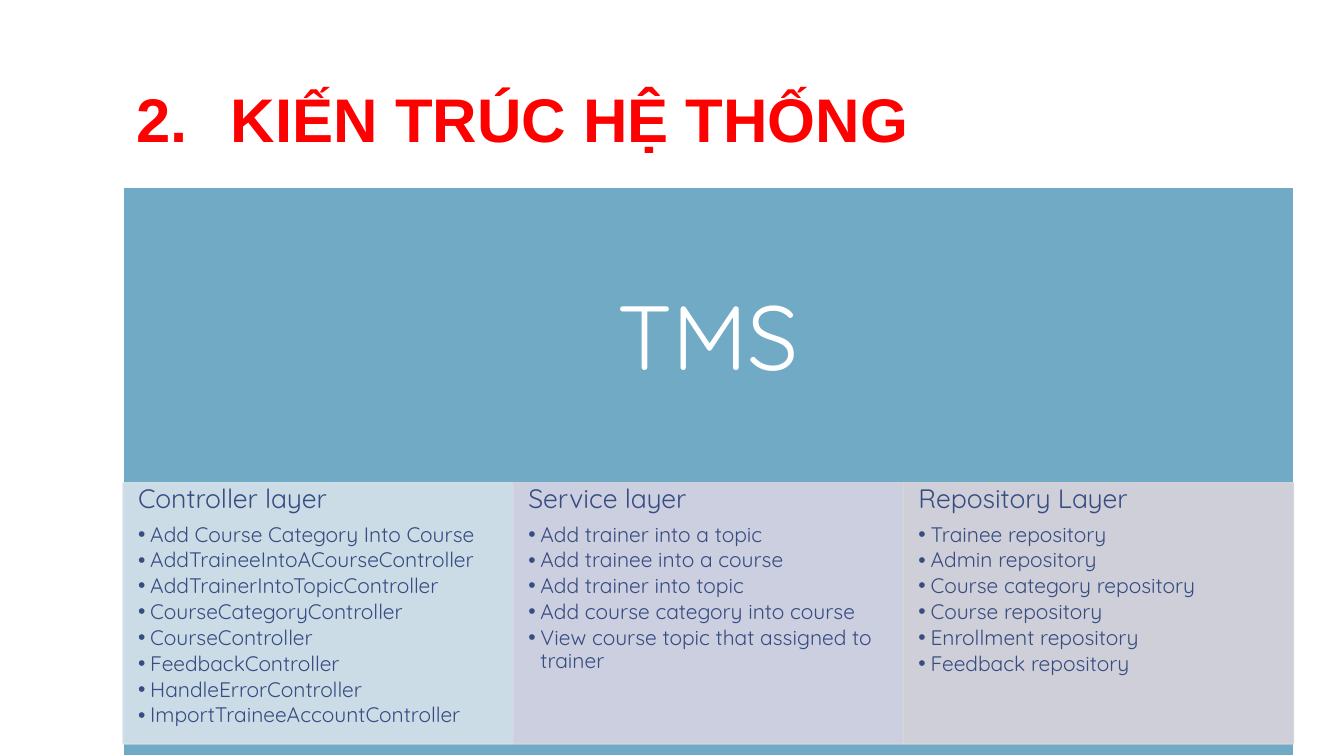
"""Build the system architecture slide."""
import dataclasses

import pptx
import pptx.dml.color
import pptx.enum.shapes
import pptx.enum.text
import pptx.oxml
import pptx.oxml.ns
import pptx.util

Inches = pptx.util.Inches
Pt = pptx.util.Pt
Align = pptx.enum.text.PP_ALIGN
Anchor = pptx.enum.text.MSO_ANCHOR


@dataclasses.dataclass(frozen=True)
class Theme:
    """Colours, fonts and type sizes of the slide."""
    title_color: str = "FF0000"
    panel_color: str = "70AAC4"
    white: str = "FFFFFF"
    text_color: str = "374C81"
    layer_colors: tuple = ("D5E2EA", "D5D4E3", "DAD4DC")
    layer_opacity: int = 90
    title_font: str = "Arial"
    body_font: str = "Quicksand"
    title_size: int = 44
    system_size: int = 65
    heading_size: int = 19
    item_size: int = 15


LAYERS = [
    ("Controller layer", [
        "Add Course Category Into Course", "AddTraineeIntoACourseController",
        "AddTrainerIntoTopicController", "CourseCategoryController",
        "CourseController", "FeedbackController", "HandleErrorController",
        "ImportTraineeAccountController"]),
    ("Service layer", [
        "Add trainer into a topic", "Add trainee into a course",
        "Add trainer into topic", "Add course category into course",
        "View course topic that assigned to trainer"]),
    ("Repository Layer", [
        "Trainee repository", "Admin repository", "Course category repository",
        "Course repository", "Enrollment repository", "Feedback repository"]),
]


def rgb(color):
    """Return the colour object for a hexadecimal value."""
    return pptx.dml.color.RGBColor.from_string(color)


def element(tag, **attributes):
    """Return a drawing element with the given attributes."""
    node = pptx.oxml.parse_xml(f"<a:{tag} {pptx.oxml.ns.nsdecls('a')}/>")
    for name, value in attributes.items():
        node.set(name, str(value))
    return node


def write_text(paragraph, text, *, size, color, font, bold=False, align=Align.LEFT,
               line_spacing=0.9, space_after=0, indent=0, bullet=None):
    """Write formatted text, with an optional bullet and hanging indent."""
    run = paragraph.add_run()
    run.text = text
    run.font.size = Pt(size)
    run.font.name = font
    run.font.bold = bold
    run.font.color.rgb = rgb(color)
    paragraph.alignment = align
    paragraph.line_spacing = line_spacing
    paragraph.space_after = Pt(space_after)
    if bullet is not None:
        properties = paragraph._p.get_or_add_pPr()
        properties.set("marL", str(Inches(indent)))
        properties.set("indent", str(-Inches(indent)))
        properties.append(element("buFont", typeface="Arial"))
        properties.append(bullet)


class SlideBuilder:
    """Draws each kind of element on the current slide."""

    def __init__(self, slide, theme):
        """Keep the slide and its theme."""
        self.slide = slide
        self.theme = theme

    def frame(self, shape, anchor, horizontal, vertical):
        """Set up the text frame of a shape and return it."""
        frame = shape.text_frame
        frame.word_wrap = True
        frame.vertical_anchor = anchor
        frame.margin_left = frame.margin_right = Inches(horizontal)
        frame.margin_top = frame.margin_bottom = Inches(vertical)
        return frame

    def text_box(self, text, box, anchor, margins, **text_format):
        """Add a text box with one paragraph."""
        shape = self.slide.shapes.add_textbox(*map(Inches, box))
        frame = self.frame(shape, anchor, *margins)
        write_text(frame.paragraphs[0], text, **text_format)

    def rectangle(self, box, fill, line, opacity=100):
        """Add a filled rectangle with a thin outline."""
        shape = self.slide.shapes.add_shape(
            pptx.enum.shapes.MSO_SHAPE.RECTANGLE, *map(Inches, box))
        shape.shadow.inherit = False
        shape.fill.solid()
        shape.fill.fore_color.rgb = rgb(fill)
        shape.line.color.rgb = rgb(line)
        shape.line.width = Pt(1)
        if opacity < 100:
            for color in shape._element.spPr.iter(pptx.oxml.ns.qn("a:srgbClr")):
                color.append(element("alpha", val=opacity * 1000))
        return shape

    def layer(self, heading, items, box, color):
        """Add a layer column with a heading and bulleted items."""
        theme = self.theme
        shape = self.rectangle(box, color, color, theme.layer_opacity)
        frame = self.frame(shape, Anchor.TOP, 0.15, 0.03)
        style = {"font": theme.body_font, "color": theme.text_color}
        write_text(frame.paragraphs[0], heading, size=theme.heading_size,
                   space_after=0.35 * theme.heading_size, **style)
        for item in items:
            paragraph = frame.add_paragraph()
            paragraph.level = 1
            write_text(paragraph, item, size=theme.item_size, indent=0.12,
                       space_after=0.15 * theme.item_size,
                       bullet=element("buChar", char="•"), **style)


def main():
    """Create and save the presentation."""
    presentation = pptx.Presentation()
    presentation.slide_width = Inches(13.33)
    presentation.slide_height = Inches(7.5)
    slide = presentation.slides.add_slide(presentation.slide_layouts[6])
    theme = Theme()
    builder = SlideBuilder(slide, theme)

    builder.text_box(
        "KIẾN TRÚC HỆ THỐNG", (1.22, 0.08, 11.11, 1.53), Anchor.BOTTOM, (0.13, 0.07),
        size=theme.title_size, color=theme.title_color, font=theme.title_font,
        bold=True, line_spacing=0.85, indent=0.94,
        bullet=element("buAutoNum", type="arabicPeriod", startAt=2))
    left, top, width = 1.22, 1.86, 11.61
    builder.rectangle((left, top, width, 5.64), theme.panel_color, theme.white)
    builder.text_box(
        "TMS", (left, top, width, 3.04), Anchor.MIDDLE, (0.51, 0.51),
        size=theme.system_size, color=theme.white, font=theme.body_font,
        align=Align.CENTER)
    column_width = width / len(LAYERS)
    for index, (heading, items) in enumerate(LAYERS):
        box = (left + index * column_width, 4.79, column_width, 2.59)
        builder.layer(heading, items, box, theme.layer_colors[index])

    presentation.save("out.pptx")


if __name__ == "__main__":
    main()
